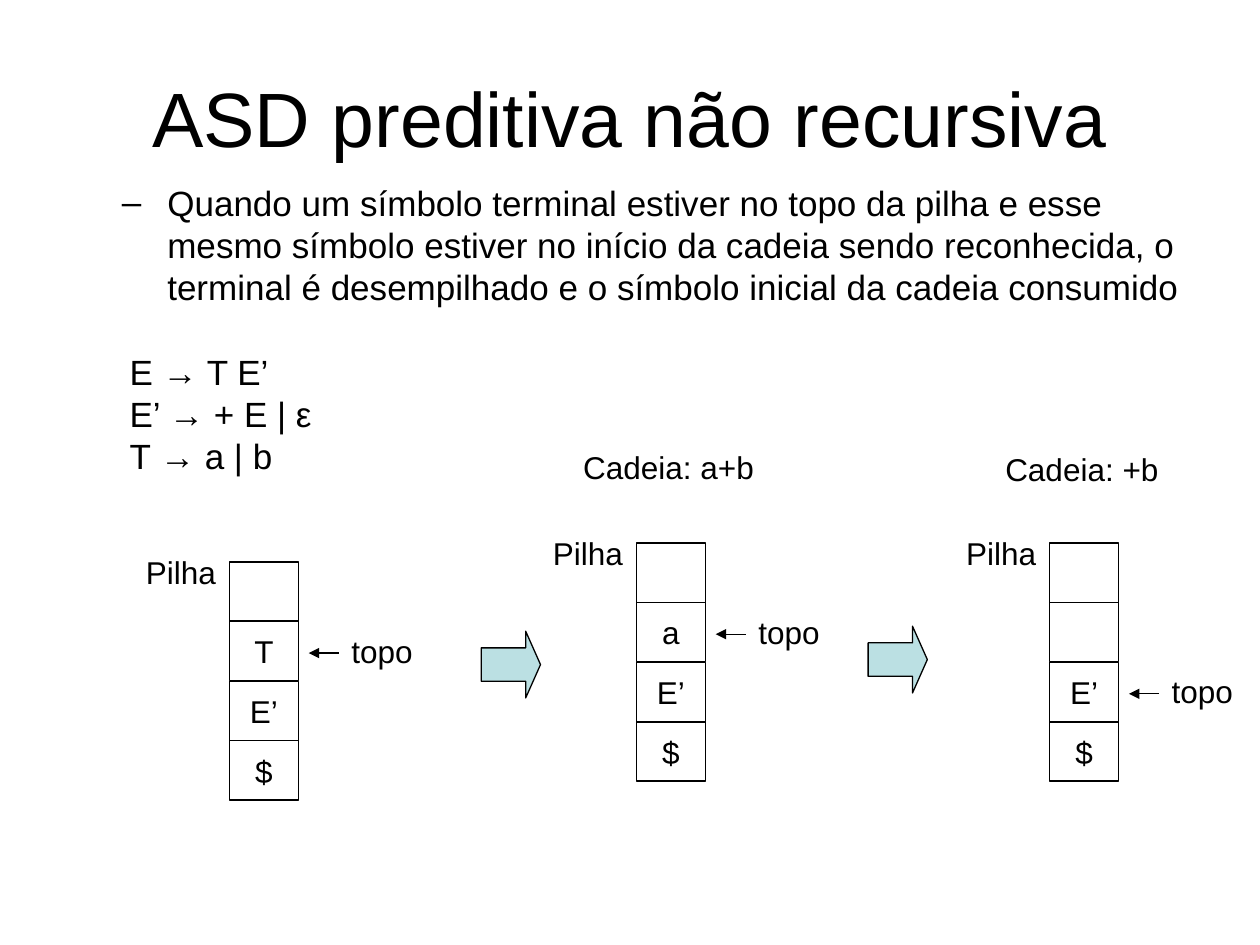
from dataclasses import dataclass

from lxml.etree import SubElement
from pptx import Presentation
from pptx.dml.color import RGBColor
from pptx.enum.shapes import MSO_CONNECTOR, MSO_SHAPE
from pptx.enum.text import MSO_ANCHOR, PP_ALIGN
from pptx.oxml.ns import qn
from pptx.util import Inches, Pt

FONT = "Arial"
COLORS = {"ink": "000000", "arrow": "BBE0E3"}
CELL_W, CELL_H = 0.55, 0.47
STEP = 1.42 / 3  # from one stack cell to the next


@dataclass
class Stack:
    left: float
    top: float
    cells: list[str]


@dataclass
class Label:
    text: str
    left: float
    top: float
    width: float


STACKS = [
    Stack(1.82, 4.46, ["", "T", "E’", "$"]),
    Stack(5.05, 4.31, ["", "a", "E’", "$"]),
    Stack(8.33, 4.31, ["", "", "E’", "$"]),
]
INPUTS = [
    Label("Cadeia: a+b", 4.53, 3.51, 1.55),
    Label("Cadeia: +b", 7.88, 3.52, 1.41),
]
ARROWS = [(3.82, 5.01), (6.89, 4.97)]
RULES = ["E → T E’", "E’ → + E | ε", "T → a | b"]


def color(name: str) -> RGBColor:
    return RGBColor.from_string(COLORS[name])


def write(shape, text: str, size: float, align=PP_ALIGN.LEFT,
          anchor=MSO_ANCHOR.TOP, wrap: bool = True) -> None:
    frame = shape.text_frame
    frame.text = text
    frame.word_wrap = wrap
    frame.vertical_anchor = anchor
    for para in frame.paragraphs:
        para.alignment = align
        for run in para.runs:
            run.font.size = Pt(size)
            run.font.name = FONT
            run.font.color.rgb = color("ink")


def add_box(slide, left: float, top: float, width: float, height: float):
    return slide.shapes.add_textbox(
        Inches(left), Inches(top), Inches(width), Inches(height))


def add_label(slide, label: Label) -> None:
    """Add a one-line text; no right margin, so that the line has room."""
    box = add_box(slide, label.left, label.top, label.width, 0.4)
    write(box, label.text, 18)
    box.text_frame.margin_right = 0


def add_shape(slide, kind, left: float, top: float, width: float, height: float):
    shape = slide.shapes.add_shape(
        kind, Inches(left), Inches(top), Inches(width), Inches(height))
    shape.shadow.inherit = False
    shape.fill.background()
    shape.line.color.rgb = color("ink")
    shape.line.width = Pt(0.75)
    return shape


def add_pointer(slide, start: float, end: float, y: float) -> None:
    """Draw a level line with an arrowhead at its end."""
    line = slide.shapes.add_connector(
        MSO_CONNECTOR.STRAIGHT, Inches(start), Inches(y), Inches(end), Inches(y))
    line.line.color.rgb = color("ink")
    line.line.width = Pt(0.75)
    props = line._element.spPr
    SubElement(props.find(qn("a:ln")), qn("a:tailEnd"), type="triangle")
    SubElement(props, qn("a:effectLst"))


def add_stack(slide, stack: Stack) -> None:
    """Draw the cells, the name and a pointer to the first filled cell."""
    left, top = stack.left, stack.top
    for row, text in enumerate(stack.cells):
        cell = add_shape(slide, MSO_SHAPE.RECTANGLE,
                         left, top + row * STEP, CELL_W, CELL_H)
        if text:
            write(cell, text, 18, PP_ALIGN.CENTER, MSO_ANCHOR.MIDDLE, False)
    add_label(slide, Label("Pilha", left - 0.76, top - 0.12, 0.75))
    first = next(row for row, text in enumerate(stack.cells) if text)
    y = top + first * STEP + 0.25
    add_pointer(slide, left + 0.87, left + 0.63, y)
    add_label(slide, Label("topo", left + 0.87, y - 0.22, 0.68))


def add_point(slide) -> None:
    box = add_box(slide, 0.5, 1.39, 9, 4.96)
    write(box, "Quando um símbolo terminal estiver no topo da pilha e esse mesmo "
          "símbolo estiver no início da cadeia sendo reconhecida, o terminal é "
          "desempilhado e o símbolo inicial da cadeia consumido", 20)
    props = box.text_frame.paragraphs[0]._p.get_or_add_pPr()
    props.set("marL", str(Inches(0.73)))
    props.set("indent", str(Inches(-0.36)))
    SubElement(props, qn("a:buFont"), typeface=FONT)
    SubElement(props, qn("a:buChar"), char="–")


def add_rules(slide) -> None:
    box = add_box(slide, 0.43, 2.73, 3.03, 1.1)
    write(box, "\n".join(RULES), 20)
    for para in box.text_frame.paragraphs:
        para._p.get_or_add_pPr().set("marL", str(Inches(0.5)))


def main() -> None:
    deck = Presentation()
    deck.slide_width, deck.slide_height = Inches(10), Inches(7.5)
    slide = deck.slides.add_slide(deck.slide_layouts[6])
    title = add_box(slide, 0.5, 0.3, 9, 1.25)
    write(title, "ASD preditiva não recursiva", 44,
          PP_ALIGN.CENTER, MSO_ANCHOR.MIDDLE)
    add_point(slide)
    add_rules(slide)
    for stack in STACKS:
        add_stack(slide, stack)
    for label in INPUTS:
        add_label(slide, label)
    for left, top in ARROWS:
        arrow = add_shape(slide, MSO_SHAPE.RIGHT_ARROW, left, top, 0.47, 0.53)
        arrow.adjustments[0], arrow.adjustments[1] = 0.5, 0.25
        arrow.fill.solid()
        arrow.fill.fore_color.rgb = color("arrow")
    deck.save("out.pptx")


if __name__ == "__main__":
    main()
